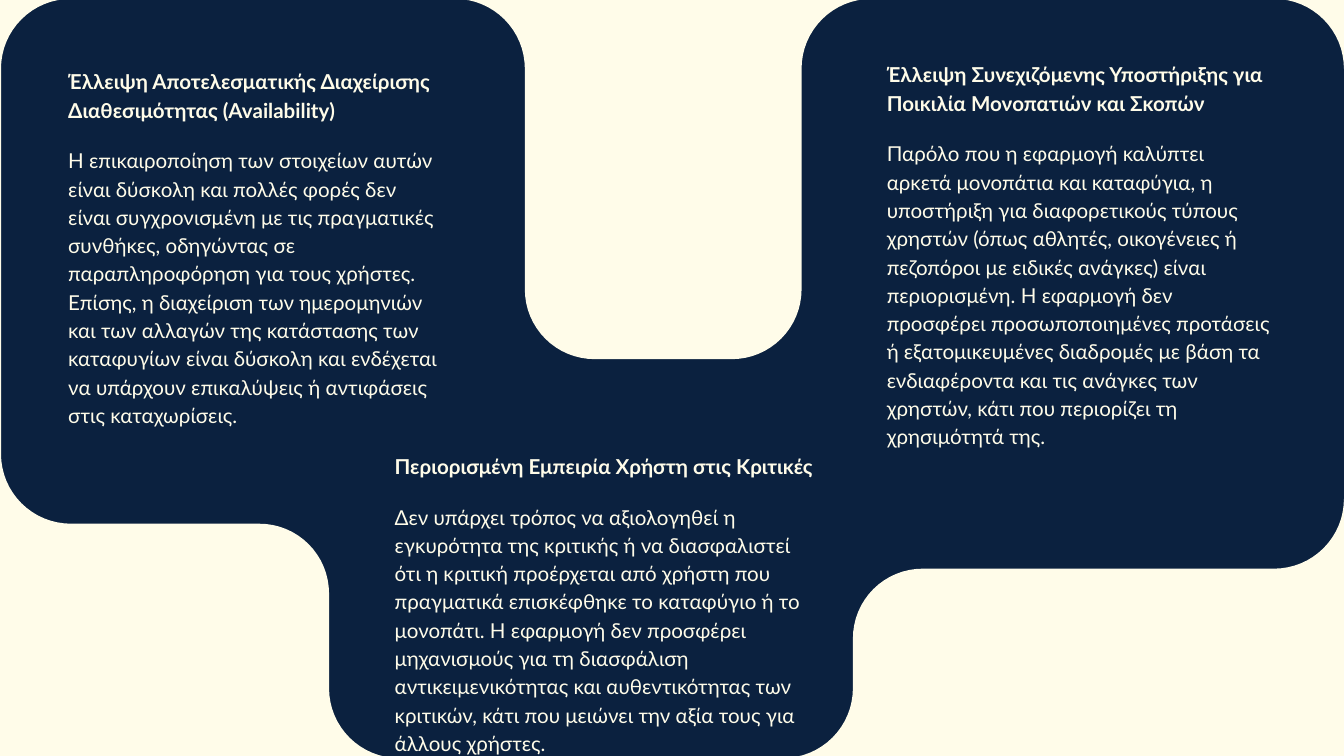
from math import cos, hypot, pi, sin

from pptx import Presentation
from pptx import util as u
from pptx.dml.color import RGBColor
from pptx.enum import text

NAVY = RGBColor(0x0B, 0x21, 0x3F)
CREAM = RGBColor(0xFF, 0xFC, 0xE9)

# Lengths in centimetres
WIDTH, HEIGHT = 25.4, 14.29
RADIUS = 1.32
TOP, BOTTOM = -0.02, 14.33
ARC_STEPS = 16

# Cream areas around the navy panel: (x, y, is the corner rounded)
CUTOUTS = [
    [(0, TOP, False), (0, BOTTOM, False), (6.22 + RADIUS, BOTTOM, False),
     (6.22, BOTTOM, True), (6.22, 9.9, True), (0.02, 9.9, True),
     (0.02, TOP, True), (0.02 + RADIUS, TOP, False)],
    [(9.92 - RADIUS, TOP, False), (9.92, TOP, True), (9.92, 6.79, True),
     (15.15, 6.79, True), (15.15, TOP, True), (15.15 + RADIUS, TOP, False)],
    [(WIDTH - RADIUS, TOP, False), (WIDTH, TOP, True),
     (WIDTH, TOP + RADIUS, False), (WIDTH, TOP, False)],
    [(WIDTH, 10.75 - RADIUS, False), (WIDTH, 10.75, True), (16.12, 10.75, True),
     (16.12, BOTTOM, True), (16.12 - RADIUS, BOTTOM, False), (WIDTH, BOTTOM, False)],
]

# Left, top, width, height, heading, body
WEAKNESSES = [
    (1.04, 0.99, 7.52, 5.97,
     "Έλλειψη Αποτελεσματικής Διαχείρισης Διαθεσιμότητας (Availability)",
     "Η επικαιροποίηση των στοιχείων αυτών είναι δύσκολη και πολλές φορές δεν "
     "είναι συγχρονισμένη με τις πραγματικές συνθήκες, οδηγώντας σε "
     "παραπληροφόρηση για τους χρήστες. Επίσης, η διαχείριση των ημερομηνιών "
     "και των αλλαγών της κατάστασης των καταφυγίων είναι δύσκολη και ενδέχεται "
     "να υπάρχουν επικαλύψεις ή αντιφάσεις στις καταχωρίσεις."),
    (7.21, 8.26, 8.53, 4.62,
     "Περιορισμένη Εμπειρία Χρήστη στις Κριτικές",
     "Δεν υπάρχει τρόπος να αξιολογηθεί η εγκυρότητα της κριτικής ή να "
     "διασφαλιστεί ότι η κριτική προέρχεται από χρήστη που πραγματικά "
     "επισκέφθηκε το καταφύγιο ή το μονοπάτι. Η εφαρμογή δεν προσφέρει "
     "μηχανισμούς για τη διασφάλιση αντικειμενικότητας και αυθεντικότητας των "
     "κριτικών, κάτι που μειώνει την αξία τους για άλλους χρήστες."),
    (16.51, 0.86, 7.8, 8.33,
     "Έλλειψη Συνεχιζόμενης Υποστήριξης για Ποικιλία Μονοπατιών και Σκοπών",
     "Παρόλο που η εφαρμογή καλύπτει αρκετά μονοπάτια και καταφύγια, η "
     "υποστήριξη για διαφορετικούς τύπους χρηστών (όπως αθλητές, οικογένειες ή "
     "πεζοπόροι με ειδικές ανάγκες) είναι περιορισμένη. Η εφαρμογή δεν "
     "προσφέρει προσωποποιημένες προτάσεις ή εξατομικευμένες διαδρομές με βάση "
     "τα ενδιαφέροντα και τις ανάγκες των χρηστών, κάτι που περιορίζει τη "
     "χρησιμότητά της."),
]


def set_all(target, values):
    for name, value in values.items():
        setattr(target, name, value)


def toward(corner, neighbour):
    """Point one radius from the corner, on the way to its neighbour."""
    dx, dy = neighbour[0] - corner[0], neighbour[1] - corner[1]
    scale = RADIUS / hypot(dx, dy)
    return corner[0] + dx * scale, corner[1] + dy * scale


def round_corner(before, corner, after):
    start, end = toward(corner, before), toward(corner, after)
    center = [s + e - c for s, e, c in zip(start, end, corner)]
    angles = [pi / 2 * step / ARC_STEPS for step in range(ARC_STEPS + 1)]
    return [tuple(c + (s - c) * cos(a) + (e - c) * sin(a)
                  for c, s, e in zip(center, start, end)) for a in angles]


def add_cutout(group, corners):
    outline = []
    for i, (x, y, rounded) in enumerate(corners):
        after = corners[(i + 1) % len(corners)]
        outline += round_corner(corners[i - 1], (x, y), after) if rounded else [(x, y)]
    points = [(u.Cm(x), u.Cm(y)) for x, y in outline]
    builder = group.shapes.build_freeform(*points[0])
    builder.add_line_segments(points[1:], close=True)
    cutout = builder.convert_to_shape()
    cutout.shadow.inherit = False
    cutout.fill.solid()
    cutout.fill.fore_color.rgb = CREAM
    cutout.line.fill.background()


def add_weakness(slide, left, top, width, height, heading, body):
    frame = slide.shapes.add_textbox(
        u.Cm(left), u.Cm(top), u.Cm(width), u.Cm(height)).text_frame
    margins = dict.fromkeys(
        ("margin_left", "margin_top", "margin_right", "margin_bottom"), u.Cm(0.25))
    set_all(frame, {"word_wrap": True, "vertical_anchor": text.MSO_ANCHOR.TOP, **margins})
    parts = [(frame.paragraphs[0], heading, True, 0),
             (frame.add_paragraph(), body, False, 12)]
    for paragraph, words, bold, space in parts:
        set_all(paragraph, {"line_spacing": 1.15, "space_before": u.Pt(space),
                            "alignment": text.PP_ALIGN.LEFT})
        run = paragraph.add_run()
        run.text = words
        set_all(run.font, {"name": "Lato", "size": u.Pt(11), "bold": bold})
        run.font.color.rgb = CREAM


def main():
    deck = Presentation()
    set_all(deck, {"slide_width": u.Cm(WIDTH), "slide_height": u.Cm(HEIGHT)})
    slide = deck.slides.add_slide(deck.slide_layouts[6])

    # Navy background
    slide.background.fill.solid()
    slide.background.fill.fore_color.rgb = NAVY

    # Cream cutouts that shape the panel
    frame_group = slide.shapes.add_group_shape()
    for corners in CUTOUTS:
        add_cutout(frame_group, corners)

    # Headed texts
    for weakness in WEAKNESSES:
        add_weakness(slide, *weakness)

    deck.save("out.pptx")


if __name__ == "__main__":
    main()
